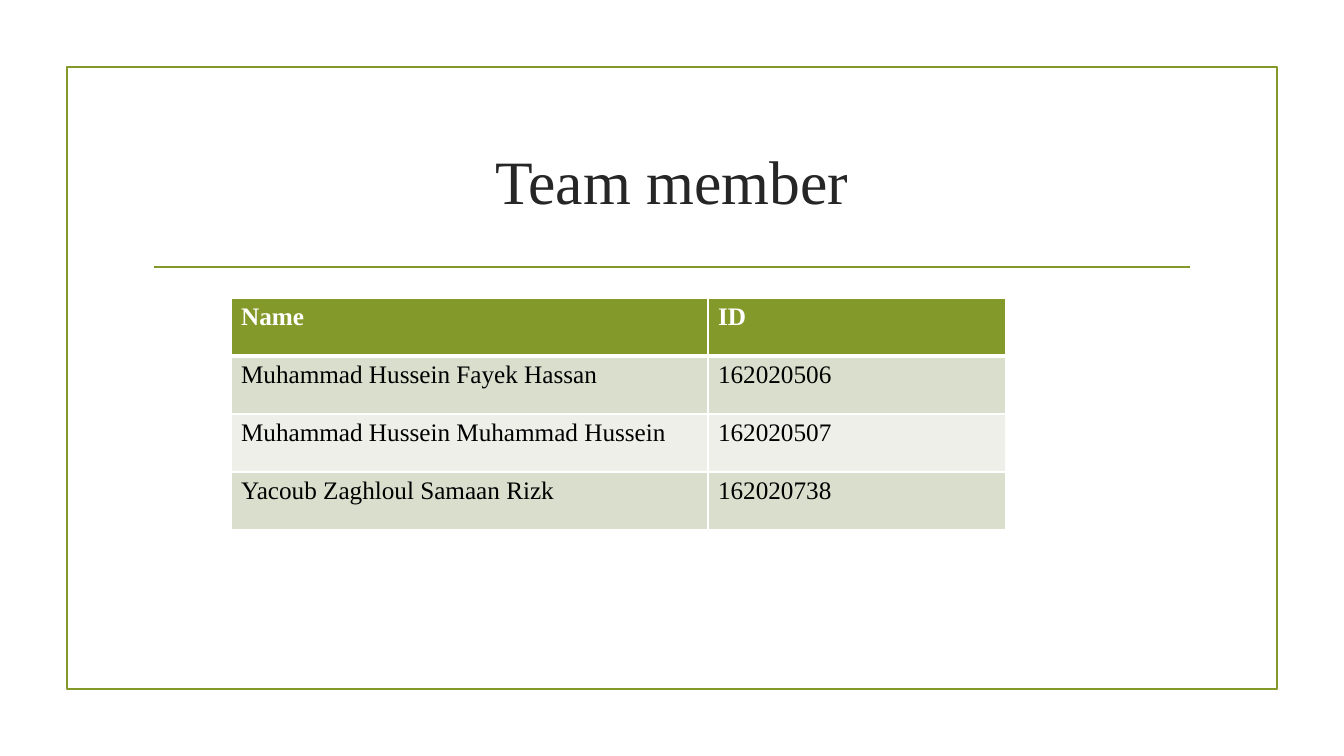
from lxml import etree
from pptx import Presentation
from pptx import util as u
from pptx.dml.color import RGBColor
from pptx.enum import shapes, text
from pptx.oxml import ns

PX = 914400 / 100.8
FONT = "Times New Roman"
GREEN = RGBColor(0x83, 0x99, 0x2A)
DARK = RGBColor(0x26, 0x26, 0x26)
BLACK = RGBColor(0, 0, 0)
WHITE = RGBColor(0xFF, 0xFF, 0xFF)
BANDS = RGBColor(0xED, 0xEF, 0xE8), RGBColor(0xD9, 0xDE, 0xCD)
ROWS = [
    ("Name", "ID"),
    ("Muhammad Hussein Fayek Hassan", "162020506"),
    ("Muhammad Hussein Muhammad Hussein", "162020507"),
    ("Yacoub Zaghloul Samaan Rizk", "162020738"),
]


def px(*sizes):
    """Turn pixels into EMU."""
    return [u.Emu(round(size * PX)) for size in sizes]


def style(para, size, color, bold=False):
    """Set the font of every run in a paragraph."""
    for run in para.runs:
        font = run.font
        font.name, font.size, font.bold = FONT, u.Pt(size), bold
        font.color.rgb = color


def stroke(shape):
    """Give a shape the thin green line."""
    shape.line.color.rgb = GREEN
    shape.line.width = u.Pt(1.25)


def frame(slide, x, y, w, h):
    """Draw the border and the rule under the title."""
    box = slide.shapes.add_shape(shapes.MSO_SHAPE.RECTANGLE, *px(x, y, w, h))
    box.shadow.inherit = False
    box.fill.background()
    stroke(box)
    rule = slide.shapes.add_connector(
        shapes.MSO_CONNECTOR.STRAIGHT, *px(x + 87, y + 200, x + w - 87, y + 200))
    stroke(rule)
    etree.SubElement(rule._element.spPr, ns.qn("a:effectLst"))


def title(slide, x, y, w, h):
    """Place the centred heading."""
    body = slide.shapes.add_textbox(*px(x, y, w, h)).text_frame
    body.word_wrap = True
    body.vertical_anchor = text.MSO_ANCHOR.MIDDLE
    para = body.paragraphs[0]
    para.text = "Team member"
    para.alignment = text.PP_ALIGN.CENTER
    style(para, 44, DARK)


def edge(cell, side, width):
    """Draw one white border of a cell."""
    line = etree.SubElement(cell._tc.get_or_add_tcPr(), ns.qn(f"a:ln{side}"),
                            w=str(u.Pt(width)))
    fill = etree.SubElement(line, ns.qn("a:solidFill"))
    etree.SubElement(fill, ns.qn("a:srgbClr"), val=str(WHITE))


def roster(slide, x, y, w, h):
    """Place the table of names and IDs."""
    grid = slide.shapes.add_table(len(ROWS), 2, *px(x, y, w, h)).table
    for col, wide in zip(grid.columns, px(477, w - 477)):
        col.width = wide
    for r, row in enumerate(ROWS):
        head = r == 0
        for c, word in enumerate(row):
            cell = grid.cell(r, c)
            for side in "LRTB":
                thick = (head and side == "B") or (r == 1 and side == "T")
                edge(cell, side, 3 if thick else 1)
            cell.fill.solid()
            cell.fill.fore_color.rgb = GREEN if head else BANDS[r % 2]
            cell.text_frame.text = word
            style(cell.text_frame.paragraphs[0], 18, WHITE if head else BLACK, head)


def main():
    """Build and save the slide."""
    deck = Presentation()
    deck.slide_width, deck.slide_height = px(1344, 756)
    slide = deck.slides.add_slide(deck.slide_layouts[6])
    frame(slide, 67, 67, 1210, 622)
    title(slide, 143, 108, 1058, 144)
    roster(slide, 231, 298, 775, 232)
    deck.save("out.pptx")


if __name__ == "__main__":
    main()
